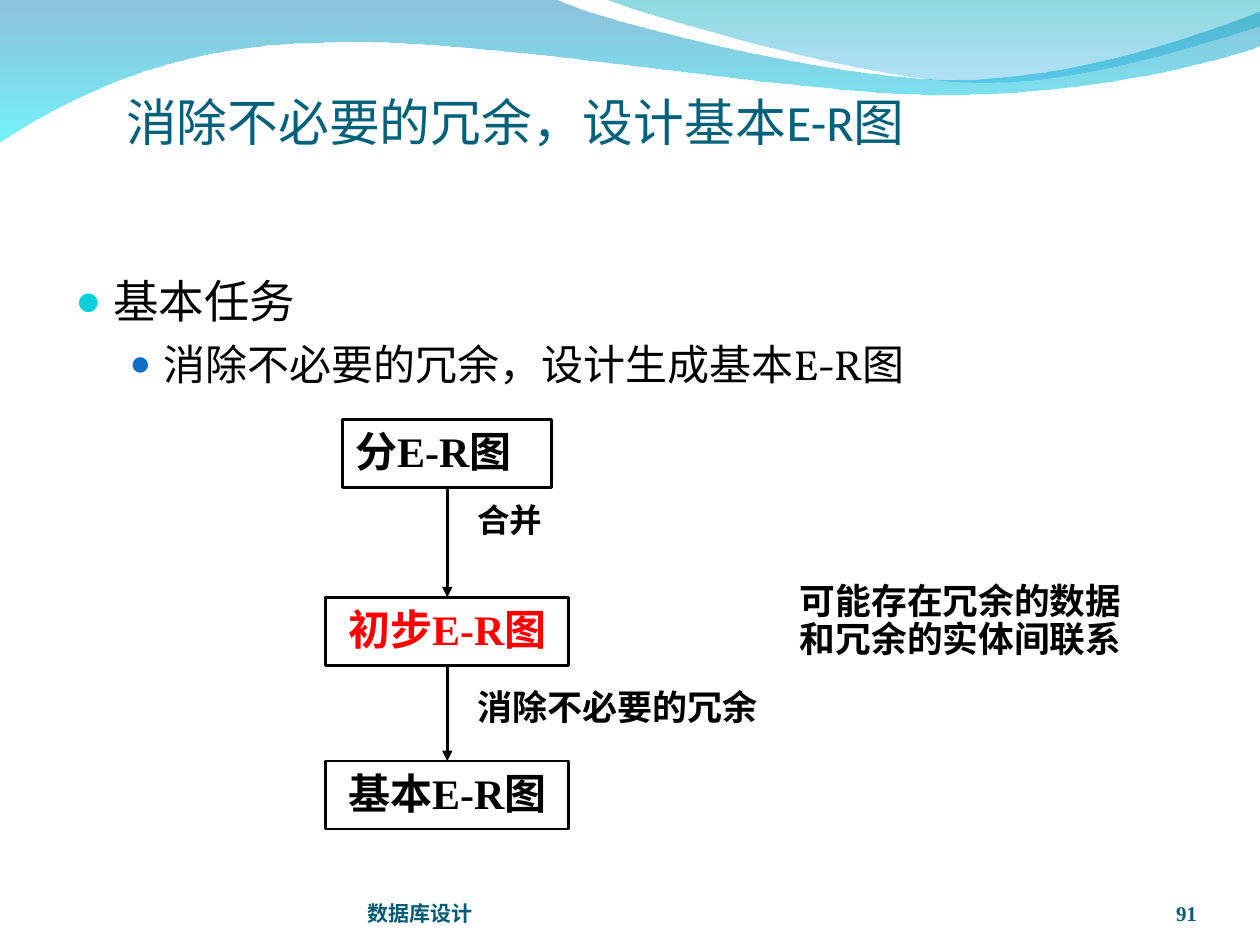
from lxml import etree
from pptx import Presentation
from pptx import util as u
from pptx.dml.color import RGBColor
from pptx.enum import shapes, text
from pptx.oxml.ns import qn

COLS, ROWS = 10, 7.5
CELL = u.Inches(1)
SERIF = "Times New Roman"
COLORS = {
    "title": "04617B", "footer": "045C75", "ink": "000000", "accent": "FF0000",
    "bullet": "0BD0D9", "sub_bullet": "0F6FC6",
    "wave_top": "0079AF", "wave_bottom": "00EBF8",
    "crest_top": "00ADB6", "crest_bottom": "009BE5",
}
LEFT, CENTER, RIGHT, JUSTIFY = (text.PP_ALIGN.LEFT, text.PP_ALIGN.CENTER,
                                text.PP_ALIGN.RIGHT, text.PP_ALIGN.JUSTIFY)
TOP, BOTTOM = text.MSO_ANCHOR.TOP, text.MSO_ANCHOR.BOTTOM

# Wave outlines in grid cells: a pair is a line, a triple of pairs a curve
WAVE = [
    (0, -0.01), (4.4, -0.01),
    ((4.76, 0.17), (6.64, 0.63), (7.58, 0.63)),
    ((8.53, 0.63), (9.58, 0.26), (10, 0.09)),
    (10.01, 0.36),
    ((9.83, 0.44), (8.7, 0.76), (7.46, 0.75)),
    ((6.22, 0.75), (3.82, 0.28), (2.57, 0.34)),
    ((1.29, 0.35), (0.46, 0.83), (-0.01, 1.13)),
]
CREST = [
    (4.79, -0.01),
    ((5.09, 0.11), (6.82, 0.62), (7.69, 0.65)),
    ((8.56, 0.69), (9.61, 0.32), (10, 0.21)),
    (10, 0),
]


def cells(*lengths):
    return [round(length * CELL) for length in lengths]


def color(name):
    return RGBColor.from_string(COLORS[name])


def write(shape, lines, size, font, ink="ink", bold=False, align=LEFT,
          anchor=TOP, spacing=None, insets=(0.1, 0.05, 0.1, 0.05)):
    frame = shape.text_frame
    frame.word_wrap = align != CENTER
    frame.vertical_anchor = anchor
    (frame.margin_left, frame.margin_top,
     frame.margin_right, frame.margin_bottom) = cells(*insets)
    frame.text = "\n".join(lines)
    for para in frame.paragraphs:
        para.alignment = align
        para.line_spacing = spacing
        para.font.size = u.Pt(size)
        para.font.name = font
        para.font.bold = bold
        para.font.color.rgb = color(ink)
    return frame


def add_text(page, box, lines, size, font, **style):
    return write(page.shapes.add_textbox(*cells(*box)), lines, size, font, **style)


def bend(wave, parts):
    """Turn each run of three segments that belongs to a curve into a Bézier."""
    segments = iter(list(wave._element.iter(qn("a:lnTo"))))
    for part in parts:
        first = next(segments)
        if len(part) == 3:
            first.tag = qn("a:cubicBezTo")
            for extra in (next(segments), next(segments)):
                first.append(extra[0])
                extra.getparent().remove(extra)


def add_wave(page, outline, stops):
    start, *parts = outline
    points = [point for part in parts
              for point in (part if len(part) == 3 else [part])]
    builder = page.shapes.build_freeform(*cells(*start))
    builder.add_line_segments([cells(*point) for point in points], close=True)
    wave = builder.convert_to_shape()
    bend(wave, parts)
    wave.shadow.inherit = False
    wave.line.fill.background()
    wave.fill.gradient()
    wave.fill.gradient_angle = 270
    for stop, (position, name, _) in zip(wave.fill.gradient_stops, stops):
        stop.position = position
        stop.color.rgb = color(name)
    tints = wave.fill._xPr.iter(qn("a:srgbClr"))
    for tint, (_, _, opacity) in zip(tints, stops):
        etree.SubElement(tint, qn("a:alpha"), val=str(opacity * 1000))


def add_header(page, box):
    add_wave(page, WAVE, [(0, "wave_top", 45), (1, "wave_bottom", 55)])
    add_wave(page, CREST, [(0, "crest_top", 45), (1, "crest_bottom", 30)])
    add_text(page, box, ["消除不必要的冗余，设计基本E-R图"], 29, "Calibri",
             ink="title", anchor=BOTTOM, insets=(0, 0.05, 0, 0.43))


def add_bullet(para, name, share, margin, hang):
    props = para._p.get_or_add_pPr()
    props.set("marL", str(cells(margin)[0]))
    props.set("indent", str(cells(-hang)[0]))
    tint = etree.SubElement(props, qn("a:buClr"))
    etree.SubElement(tint, qn("a:srgbClr"), val=COLORS[name])
    etree.SubElement(props, qn("a:buSzPct"), val=str(share * 1000))
    etree.SubElement(props, qn("a:buFont"), typeface=SERIF)
    etree.SubElement(props, qn("a:buChar"), char="●")
    # Default run properties follow the bullet in the schema
    props.append(props.find(qn("a:defRPr")))


def add_tasks(page, box):
    frame = add_text(page, box, ["基本任务", "消除不必要的冗余，设计生成基本E-R图"],
                     26, "Vollkorn")
    task, detail = frame.paragraphs
    task.space_before = u.Pt(6.5)
    detail.space_before = u.Pt(6)
    detail.level = 1
    detail.font.size = u.Pt(24)
    add_bullet(task, "bullet", 95, 0.3, 0.3)
    add_bullet(detail, "sub_bullet", 85, 0.7, 0.27)


def add_stage(page, middle, top, width, label, ink, align):
    stage = page.shapes.add_shape(
        shapes.MSO_SHAPE.RECTANGLE, *cells(middle - width / 2, top, width, 0.54))
    stage.shadow.inherit = False
    stage.fill.background()
    stage.line.color.rgb = color("ink")
    stage.line.width = u.Pt(1.5)
    write(stage, [label], 24, SERIF, ink=ink, bold=True, align=align)
    return stage


def add_arrow(page, upper, lower):
    arrow = page.shapes.add_connector(shapes.MSO_CONNECTOR.STRAIGHT, 0, 0, 0, 0)
    arrow.begin_connect(upper, 2)
    arrow.end_connect(lower, 0)
    arrow.line.color.rgb = color("ink")
    arrow.line.width = u.Pt(1.5)
    etree.SubElement(arrow.line._get_or_add_ln(), qn("a:tailEnd"), type="triangle")
    etree.SubElement(arrow._element.spPr, qn("a:effectLst"))


def add_flow(page, box):
    left, top, width, height = box
    middle = left + 0.97
    # Stages, joined from top to bottom
    stages = [add_stage(page, middle, top + offset, *stage) for offset, *stage in (
        (0, 1.66, "分E-R图", "ink", JUSTIFY),
        (1.41, 1.93, "初步E-R图", "accent", CENTER),
        (2.71, 1.93, "基本E-R图", "ink", CENTER))]
    for upper, lower in zip(stages, stages[1:]):
        add_arrow(page, upper, lower)
    # Labels beside the arrows, and the remark at the right
    beside = left + 1.11
    for place, lines, size, spacing in (
            ((beside, top + 0.65, 1.24, 0.43), ["合并"], 18.6, 0.8),
            ((beside, top + 2.06, 3.03, 0.54), ["消除不必要的冗余"], 20, None),
            ((left + width - 3.25, top + 1.25, 3.25, 0.83),
             ["可能存在冗余的数据", "和冗余的实体间联系"], 20.4, 0.9)):
        add_text(page, place, lines, size, SERIF, bold=True, align=JUSTIFY,
                 spacing=spacing)


def add_footer(page, box):
    left, top, width, height = box
    style = dict(ink="footer", bold=True, anchor=BOTTOM, insets=(0, 0, 0, 0))
    add_text(page, (left, top, 3.67, height), ["数据库设计"], 12, SERIF, **style)
    add_text(page, (left + width - 0.83, top, 0.83, height), ["91"], 12, SERIF,
             align=RIGHT, **style)


def main():
    deck = Presentation()
    deck.slide_width, deck.slide_height = cells(COLS, ROWS)
    page = deck.slides.add_slide(deck.slide_layouts[6])
    add_header(page, (1, 1.01, 8.08, 0.62))
    add_tasks(page, (0.5, 2.12, 9, 4.8))
    add_flow(page, (2.58, 3.33, 6.92, 3.25))
    add_footer(page, (2.92, 6.95, 6.58, 0.4))
    deck.save("out.pptx")


if __name__ == "__main__":
    main()
